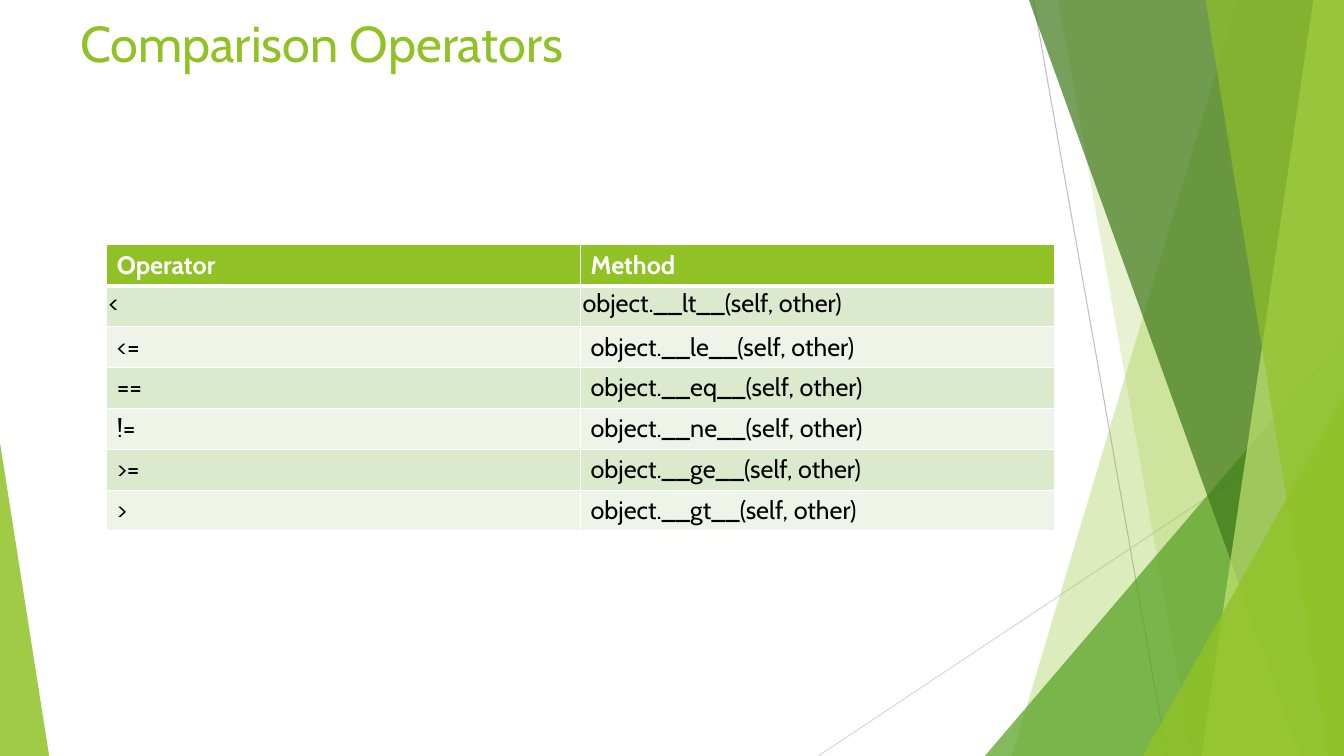
"""Build the Comparison Operators slide with its faceted green border."""
from lxml import etree
from pptx import Presentation
from pptx import util as u
from pptx.dml.color import RGBColor
from pptx.enum import shapes
from pptx.oxml.ns import qn

FONT = "Cabin"
GREEN, WHITE, BLACK = "90C226", "FFFFFF", "000000"
BANDS = ["DBE9CD", "EEF4E8"]
WIDTH, HEIGHT = 33.87, 19.05

TITLE = "Comparison Operators"
HEADER = ("Operator", "Method")
OPERATORS = [("<", "lt"), ("<=", "le"), ("==", "eq"),
             ("!=", "ne"), (">=", "ge"), (">", "gt")]

RAYS = [(26.04, 0, 29.41, HEIGHT, "BFBFBF"),
        (WIDTH, 10.24, 20.62, HEIGHT, "D9D9D9")]

# Panels give top x and bottom x; wedges give left, top, width and apex.
FACETS = [
    ("panel", (31.19, 25.5), GREEN, 30),
    ("panel", (26.67, 30.05), GREEN, 20),
    ("wedge", (24.82, 8.46, 9.05, 1), "54A021", 72),
    ("panel", (25.93, 32.79), "3F7819", 70),
    ("panel", (33.1, 30.28), "C0E474", 70),
    ("panel", (30.38, 33.48), GREEN, 65),
    ("wedge", (28.8, 9.98, 5.07, 1), GREEN, 80),
    ("wedge", (0, 11.15, 1.24, 0), GREEN, 85),
]
TABLE_LEFT, TABLE_TOP, TABLE_WIDTH, ROW_HEIGHT = 2.69, 6.17, 23.88, 1.03


def paint(fill, color, opacity=100):
    fill.solid()
    fill.fore_color.rgb = RGBColor.from_string(color)
    if opacity < 100:
        tint = fill._xPr.find(qn("a:solidFill"))[0]
        etree.SubElement(tint, qn("a:alpha"), val=str(opacity * 1000))


def style(paragraph, size, color, bold=False):
    font = paragraph.font
    font.name, font.size, font.bold = FONT, u.Pt(size), bold
    paint(font.fill, color)


def add_ray(slide, x1, y1, x2, y2, color):
    ray = slide.shapes.add_connector(
        shapes.MSO_CONNECTOR.STRAIGHT, *map(u.Cm, (x1, y1, x2, y2)))
    ray.line.width = u.Pt(0.75)
    paint(ray.line.fill, color)
    etree.SubElement(ray._element.spPr, qn("a:effectLst"))


def add_facet(slide, kind, geometry, color, opacity):
    if kind == "panel":
        top_x, bottom_x = geometry
        outline = [(u.Cm(x), u.Cm(y)) for x, y in (
            (top_x, 0), (WIDTH, 0), (WIDTH, HEIGHT), (bottom_x, HEIGHT))]
        builder = slide.shapes.build_freeform(*outline[0])
        builder.add_line_segments(outline[1:], close=True)
        facet = builder.convert_to_shape()
    else:
        left, top, width, apex = geometry
        facet = slide.shapes.add_shape(
            shapes.MSO_SHAPE.ISOSCELES_TRIANGLE,
            *map(u.Cm, (left, top, width, HEIGHT - top)))
        facet.adjustments[0] = apex
    facet.shadow.inherit = False
    facet.line.fill.background()
    paint(facet.fill, color, opacity)


def add_title(slide):
    title = slide.shapes.add_textbox(*map(u.Cm, (1.78, 0.18, 23.88, 3.66)))
    title.text_frame.word_wrap = True
    title.text_frame.text = TITLE
    style(title.text_frame.paragraphs[0], 36, GREEN)


def add_borders(cell, row):
    properties = cell._tc.get_or_add_tcPr()
    widths = {"L": 1, "R": 1, "T": 3 if row == 1 else 1, "B": 3 if row == 0 else 1}
    for side, width in widths.items():
        border = etree.SubElement(properties, qn(f"a:ln{side}"), w=str(u.Pt(width)))
        ink = etree.SubElement(border, qn("a:solidFill"))
        etree.SubElement(ink, qn("a:srgbClr"), val=WHITE)


def add_operator_table(slide):
    rows = [HEADER] + [(symbol, f"object.__{name}__(self, other)")
                       for symbol, name in OPERATORS]
    table = slide.shapes.add_table(
        len(rows), len(HEADER), *map(u.Cm, (
            TABLE_LEFT, TABLE_TOP, TABLE_WIDTH, ROW_HEIGHT * len(rows)))).table
    for r, row in enumerate(rows):
        for c, wording in enumerate(row):
            cell = table.cell(r, c)
            cell.text = wording
            style(cell.text_frame.paragraphs[0], 18,
                  BLACK if r else WHITE, bold=r == 0)
            if r == 1:
                cell.margin_left = cell.margin_right = u.Cm(0.05)
                cell.margin_top = cell.margin_bottom = u.Cm(0.05)
            add_borders(cell, r)
            paint(cell.fill, BANDS[(r - 1) % 2] if r else GREEN)


def main():
    deck = Presentation()
    deck.slide_width, deck.slide_height = u.Cm(WIDTH), u.Cm(HEIGHT)
    slide = deck.slides.add_slide(deck.slide_layouts[6])
    paint(slide.background.fill, WHITE)
    for ray in RAYS:
        add_ray(slide, *ray)
    for facet in FACETS:
        add_facet(slide, *facet)
    add_title(slide)
    add_operator_table(slide)
    deck.save("out.pptx")


if __name__ == "__main__":
    main()
